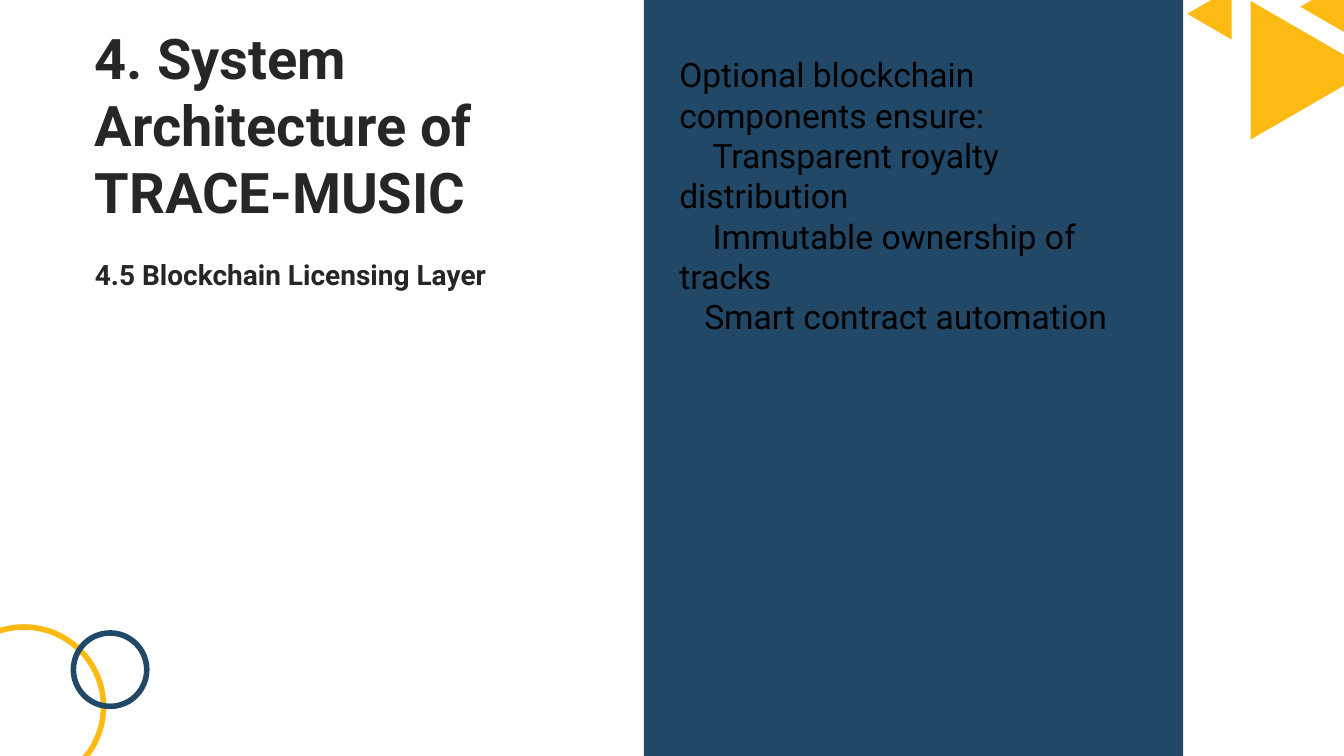
from math import sqrt

from pptx import Presentation
from pptx import util as u
from pptx.dml.color import RGBColor
from pptx.enum import shapes, text

COLORS = {"ink": "262626", "black": "000000", "navy": "224867", "gold": "FDBA13"}
FONT = "Roboto"
SLIDE_W, SLIDE_H = 33.87, 19.05  # all lengths are in centimetres


def rgb(name):
    return RGBColor.from_string(COLORS[name])


def cm(*lengths):
    return [u.Cm(length) for length in lengths]


def write(frame, lines, size, color="ink", bold=False, spacing=None, indents=None,
          inset=(0, 0), anchor=text.MSO_ANCHOR.TOP):
    """Fill a text frame with one paragraph per line."""
    frame.word_wrap = True
    frame.auto_size = text.MSO_AUTO_SIZE.NONE
    frame.vertical_anchor = anchor
    frame.margin_left = frame.margin_right = u.Cm(inset[0])
    frame.margin_top = frame.margin_bottom = u.Cm(inset[1])
    for i, line in enumerate(lines):
        paragraph = frame.paragraphs[0] if i == 0 else frame.add_paragraph()
        paragraph.alignment = text.PP_ALIGN.LEFT
        if spacing:
            paragraph.line_spacing = spacing
        if indents:
            paragraph._p.get_or_add_pPr().set("indent", str(u.Cm(indents[i])))
        run = paragraph.add_run()
        run.text = line
        run.font.name, run.font.size, run.font.bold = FONT, u.Pt(size), bold
        run.font.color.rgb = rgb(color)


def add_heading(slide, left, top, width):
    """Slide title with the section name below it."""
    title = slide.shapes.title
    title.left, title.top, title.width, title.height = cm(left, top, width, 5.08)
    write(title.text_frame, ["4. System Architecture of TRACE-MUSIC"], 40, bold=True,
          anchor=text.MSO_ANCHOR.BOTTOM)
    section = slide.shapes.add_textbox(*cm(left, top + 5.74, width, 3.02))
    write(section.text_frame, ["4.5 Blockchain Licensing Layer"], 20, bold=True,
          spacing=1.2)


def add_panel(slide, left, top, width, height):
    """Navy panel holding the blockchain benefits."""
    panel = slide.shapes.add_shape(shapes.MSO_SHAPE.RECTANGLE, *cm(left, top, width, height))
    panel.shadow.inherit = False
    panel.fill.solid()
    panel.fill.fore_color.rgb = rgb("navy")
    panel.line.fill.background()
    benefits = slide.shapes.add_textbox(
        *cm(left + 0.64, top + 1.24, width - 1.53, height - 2.41))
    write(benefits.text_frame,
          ["Optional blockchain components ensure:",
           "Transparent royalty distribution",
           "Immutable ownership of tracks",
           "Smart contract automation"],
          24, color="black", indents=(0, 0.84, 0.84, 0.63), inset=(0.25, 0.13))


def add_rings(slide, left, bottom):
    """Two overlapping rings in the lower left corner."""
    for dx, rise, diameter, color in ((-1.4, 3.25, 4.01, "gold"),
                                      (1.85, 3.1, 1.85, "navy")):
        ring = slide.shapes.add_shape(
            shapes.MSO_SHAPE.OVAL, *cm(left + dx, bottom - rise, diameter, diameter))
        ring.shadow.inherit = False
        ring.fill.background()
        ring.line.color.rgb = rgb(color)
        ring.line.width = u.Pt(4)


def add_triangles(slide, right, top):
    """Equilateral triangles in the upper right corner, given by tip and length."""
    for dx, dy, length in ((0.67, 1.77, 3.02), (-1.1, 0.17, -1.1), (-3.95, 0.35, -1.12)):
        tip_x, tip_y = right + dx, top + dy
        base_x, half = tip_x - length, abs(length) / sqrt(3)
        outline = slide.shapes.build_freeform(*cm(tip_x, tip_y))
        outline.add_line_segments([cm(base_x, tip_y + half), cm(base_x, tip_y - half)])
        triangle = outline.convert_to_shape()
        triangle.shadow.inherit = False
        triangle.fill.solid()
        triangle.fill.fore_color.rgb = rgb("gold")
        triangle.line.fill.background()


def main():
    deck = Presentation()
    deck.slide_width, deck.slide_height = cm(SLIDE_W, SLIDE_H)
    slide = deck.slides.add_slide(deck.slide_layouts[5])  # title only
    add_heading(slide, 2.39, 0.58, 10.85)
    add_panel(slide, 16.23, 0, 13.59, SLIDE_H)
    add_rings(slide, 0, SLIDE_H)
    add_triangles(slide, SLIDE_W, 0)
    deck.save("out.pptx")


if __name__ == "__main__":
    main()
